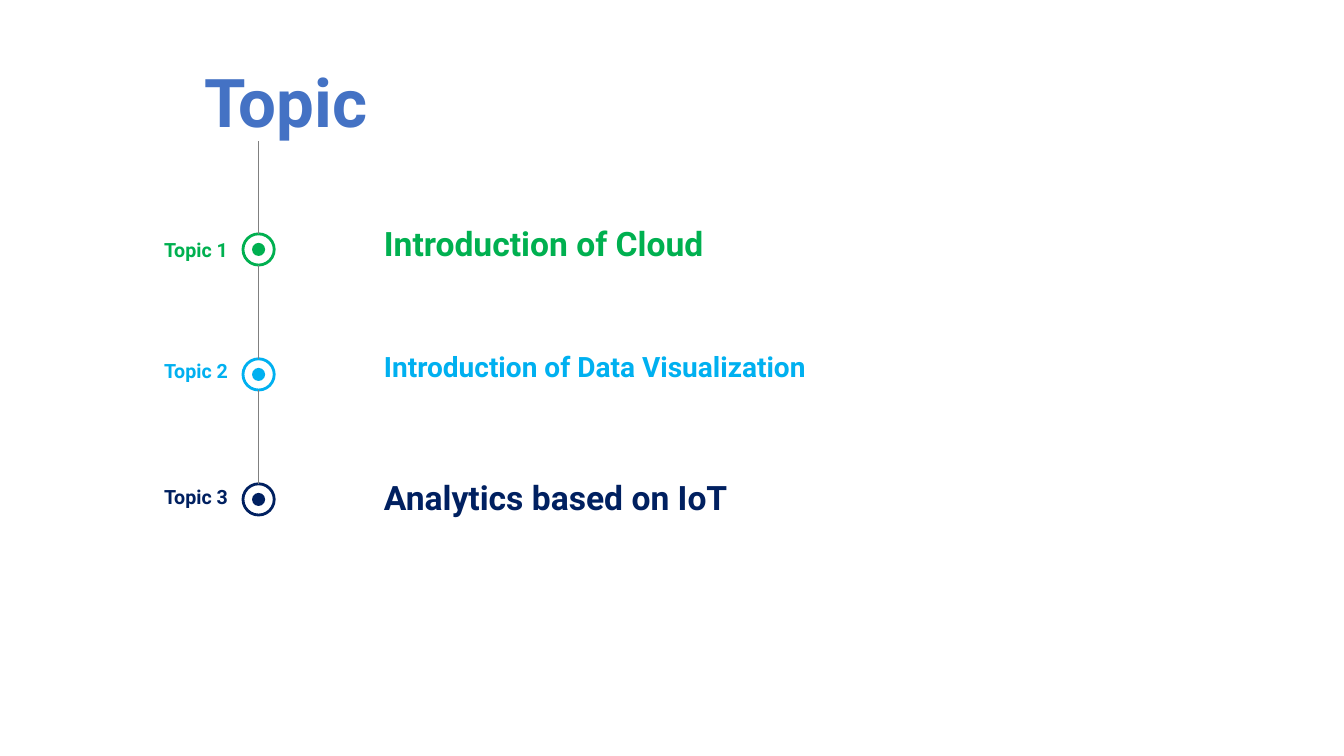
from dataclasses import dataclass

from lxml.etree import SubElement
from pptx import Presentation
from pptx.dml.color import RGBColor
from pptx.enum.shapes import MSO_CONNECTOR, MSO_SHAPE
from pptx.enum.text import PP_ALIGN
from pptx.oxml.ns import qn
from pptx.shapes.autoshape import Shape
from pptx.slide import Slide
from pptx.util import Pt

EMU_PER_PX = 9144  # 100 px to the inch
BLUE = RGBColor(0x44, 0x72, 0xC4)
GREEN = RGBColor(0x00, 0xB0, 0x50)
SKY = RGBColor(0x00, 0xB0, 0xF0)
NAVY = RGBColor(0x00, 0x20, 0x60)
GREY = RGBColor(0x80, 0x80, 0x80)
BLACK = RGBColor(0, 0, 0)
WHITE = RGBColor(255, 255, 255)

CARD_TOP, CARD_STEP = 209, 126
RING_TOP, RING_STEP, RING_SIZE = 232, 124, 31
DOT_SIZE = 13
AXIS_X = 256
TITLE_BOTTOM = 140


@dataclass(frozen=True)
class Box:
    left: int
    top: int
    width: int
    height: int

    def emu(self) -> list[int]:
        return [px(v) for v in (self.left, self.top, self.width, self.height)]


@dataclass(frozen=True)
class Topic:
    label: str
    label_top: int
    heading: str
    heading_size: int
    heading_width: int
    color: RGBColor


TOPICS = [
    Topic("Topic 1", 231, "Introduction of Cloud", 24, 343, GREEN),
    Topic("Topic 2", 351, "Introduction of Data Visualization", 20, 454, SKY),
    Topic("Topic 3", 476, "Analytics based on IoT", 24, 378, NAVY),
]


def px(length: int) -> int:
    return length * EMU_PER_PX


def add_text(slide: Slide, box: Box, text: str, size: int, color: RGBColor,
             alignment: PP_ALIGN = PP_ALIGN.LEFT) -> None:
    frame = slide.shapes.add_textbox(*box.emu()).text_frame
    frame.word_wrap = True
    paragraph = frame.paragraphs[0]
    paragraph.alignment = alignment
    run = paragraph.add_run()
    run.text = text
    font_format = {"name": "Roboto", "size": Pt(size), "bold": True}
    for name, value in font_format.items():
        setattr(run.font, name, value)
    run.font.color.rgb = color


def add_filled(slide: Slide, kind: MSO_SHAPE, box: Box, color: RGBColor) -> Shape:
    shape = slide.shapes.add_shape(kind, *box.emu())
    shape.shadow.inherit = False
    shape.fill.solid()
    shape.fill.fore_color.rgb = color
    shape.line.fill.background()
    return shape


def add_card(slide: Slide, top: int) -> None:
    """Add a white card with a tilted, blurred shade showing below it."""
    shade = add_filled(slide, MSO_SHAPE.RECTANGLE, Box(358, top + 39, 289, 78), BLACK)
    shade.rotation = 351.4
    properties = shade._element.spPr
    color = properties.find(qn("a:solidFill")).find(qn("a:srgbClr"))
    SubElement(color, qn("a:alpha"), val="34000")
    SubElement(properties.find(qn("a:effectLst")), qn("a:softEdge"), rad="317500")
    card = add_filled(slide, MSO_SHAPE.ROUNDED_RECTANGLE, Box(354, top, 471, 87), WHITE)
    card.adjustments[0] = 0.24


def add_marker(slide: Slide, top: int, color: RGBColor) -> None:
    ring_box = Box(AXIS_X - RING_SIZE // 2, top, RING_SIZE, RING_SIZE)
    ring = slide.shapes.add_shape(MSO_SHAPE.OVAL, *ring_box.emu())
    ring.shadow.inherit = False
    ring.fill.background()
    ring.line.color.rgb = color
    ring.line.width = Pt(2)
    inset = (RING_SIZE - DOT_SIZE) // 2
    dot_box = Box(ring_box.left + inset, top + inset, DOT_SIZE, DOT_SIZE)
    add_filled(slide, MSO_SHAPE.OVAL, dot_box, color)


def add_axis_segment(slide: Slide, start: int, end: int) -> None:
    connector = slide.shapes.add_connector(
        MSO_CONNECTOR.STRAIGHT, px(AXIS_X), px(start), px(AXIS_X), px(end))
    connector.line.color.rgb = GREY
    connector.line.width = Pt(0.75)
    SubElement(connector._element.spPr, qn("a:effectLst"))


def add_topic(slide: Slide, index: int, topic: Topic) -> None:
    card_top = CARD_TOP + index * CARD_STEP
    ring_top = RING_TOP + index * RING_STEP
    segment_top = ring_top - RING_STEP + RING_SIZE if index else TITLE_BOTTOM
    add_card(slide, card_top)
    add_text(slide, Box(371, card_top + 7, topic.heading_width, 50),
             topic.heading, topic.heading_size, topic.color)
    add_marker(slide, ring_top, topic.color)
    add_axis_segment(slide, segment_top, ring_top)
    add_text(slide, Box(126, topic.label_top, 110, 34),
             topic.label, 14, topic.color, PP_ALIGN.RIGHT)


def main() -> None:
    presentation = Presentation()
    presentation.slide_width = px(1333)
    presentation.slide_height = px(750)
    slide = presentation.slides.add_slide(presentation.slide_layouts[6])
    add_text(slide, Box(67, 55, 433, 91), "Topic", 48, BLUE, PP_ALIGN.CENTER)
    for index, topic in enumerate(TOPICS):
        add_topic(slide, index, topic)
    presentation.save("out.pptx")


if __name__ == "__main__":
    main()
